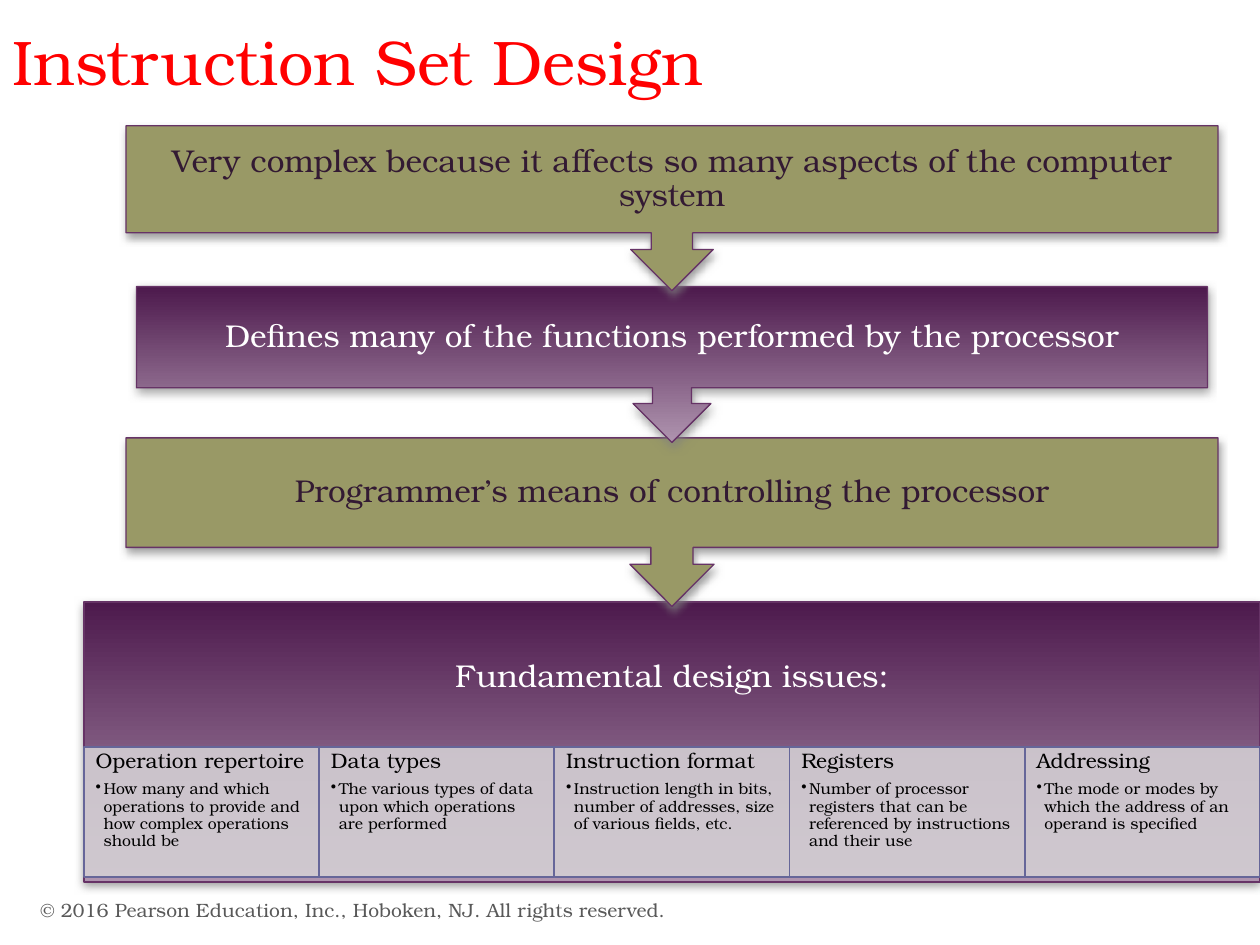
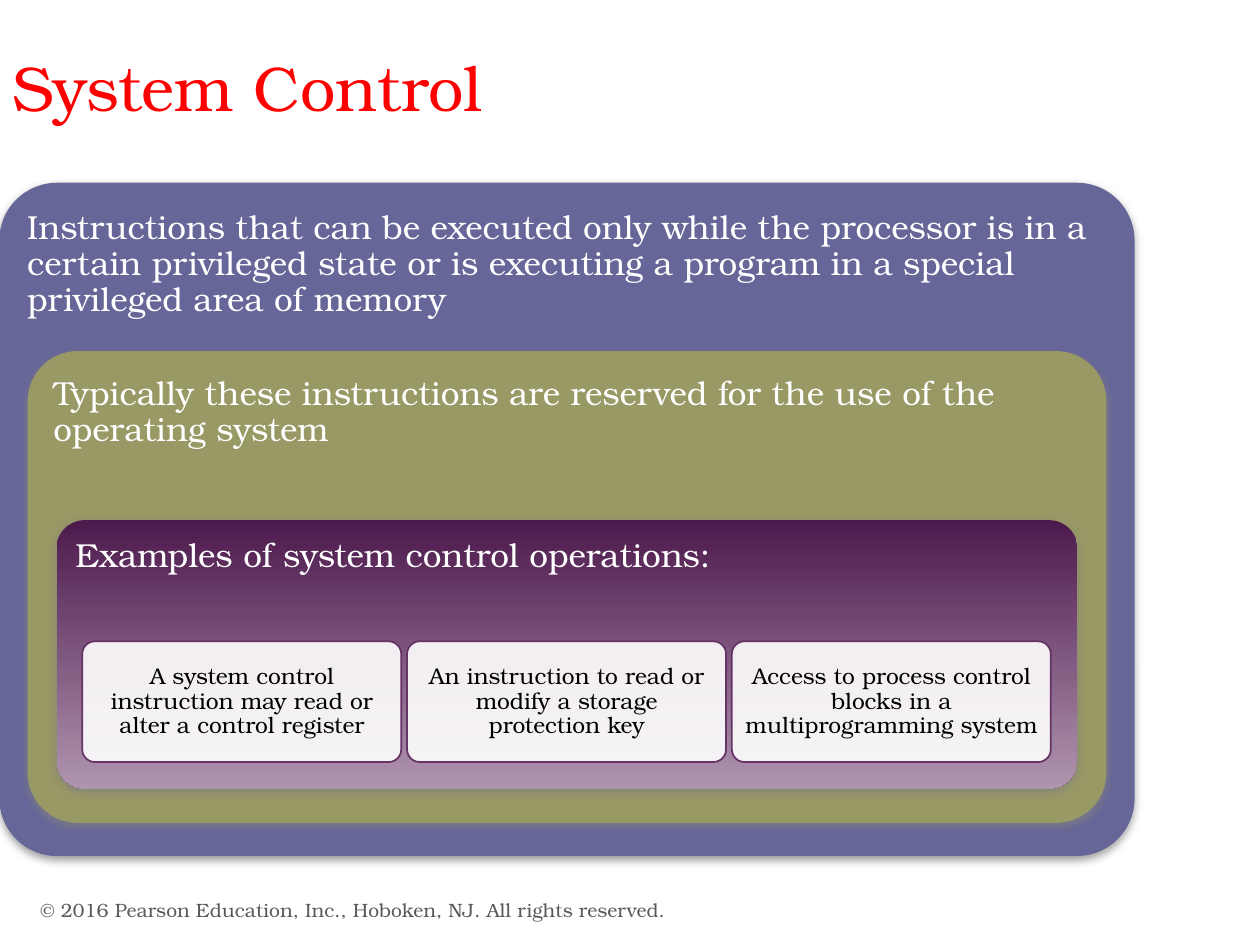
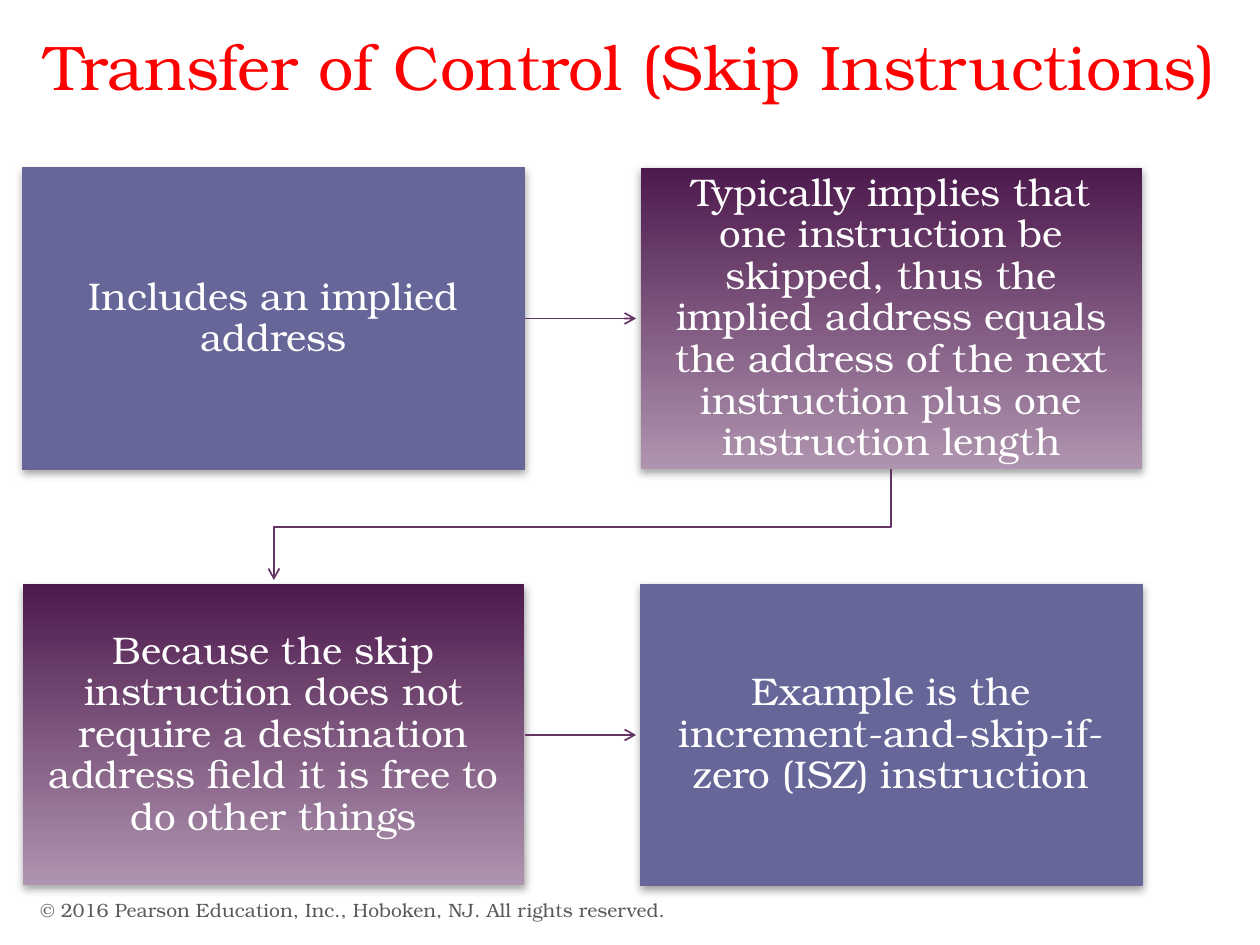
"""Build three slides on instruction set design, system control and skip instructions."""
from lxml import etree
from pptx import Presentation
from pptx.dml.color import RGBColor
from pptx.enum.shapes import MSO_CONNECTOR, MSO_SHAPE
from pptx.enum.text import MSO_ANCHOR, PP_ALIGN
from pptx.oxml.ns import qn
from pptx.util import Pt

RECT = MSO_SHAPE.RECTANGLE
ROUND = MSO_SHAPE.ROUNDED_RECTANGLE
CALLOUT = MSO_SHAPE.DOWN_ARROW_CALLOUT
STRAIGHT = MSO_CONNECTOR.STRAIGHT
LEFT, CENTER = PP_ALIGN.LEFT, PP_ALIGN.CENTER
TOP, MIDDLE = MSO_ANCHOR.TOP, MSO_ANCHOR.MIDDLE

FONT = "TeX Gyre Bonum"
RED = RGBColor(0xFF, 0x00, 0x00)
GRAY = RGBColor(0x59, 0x59, 0x59)
WHITE = RGBColor(0xFF, 0xFF, 0xFF)
BLACK = RGBColor(0x00, 0x00, 0x00)
BLUE = RGBColor(0x66, 0x66, 0x99)
OLIVE = RGBColor(0x99, 0x99, 0x66)
PURPLE = RGBColor(0x66, 0x33, 0x66)
PLUM = RGBColor(0x33, 0x1A, 0x33)
PALE = RGBColor(0xD3, 0xCE, 0xD3)
SHADOW = RGBColor(0x80, 0x80, 0x80)
GRADIENT = (RGBColor(0x4D, 0x1A, 0x4D), RGBColor(0xAF, 0x94, 0xAF))


def write(sp, text, size, color, align=LEFT, anchor=TOP, margins=(7.2, 3.6),
          bottom=None, spacing=0.9, after=0, bullet=False):
    """Add one formatted paragraph to a shape."""
    tf = sp.text_frame
    tf.word_wrap = True
    tf.vertical_anchor = anchor
    tf.margin_left = tf.margin_right = Pt(margins[0])
    tf.margin_top = Pt(margins[1])
    tf.margin_bottom = Pt(margins[1] if bottom is None else bottom)
    p = tf.add_paragraph() if tf.text else tf.paragraphs[0]
    p.alignment = align
    p.line_spacing = spacing
    p.space_after = Pt(after)
    if bullet:
        pPr = p._p.get_or_add_pPr()
        pPr.set("marL", str(Pt(4.5)))
        pPr.set("indent", str(-Pt(4.5)))
        etree.SubElement(pPr, qn("a:buChar"), char="•")
    r = p.add_run()
    r.text = text
    r.font.name = FONT
    r.font.size = Pt(size)
    r.font.color.rgb = color


def box(s, kind, x, y, w, h, fill, line=None, width=0.75, radius=None,
        shadow=True, alpha=None):
    """Add a filled shape, with a gradient when fill is a pair of colours."""
    sp = s.shapes.add_shape(kind, Pt(x), Pt(y), Pt(w), Pt(h))
    if radius:
        sp.adjustments[0] = radius
    if fill is GRADIENT:
        sp.fill.gradient()
        sp.fill.gradient_angle = 270
        for stop, color in zip(sp.fill.gradient_stops, GRADIENT):
            stop.color.rgb = color
    else:
        sp.fill.solid()
        sp.fill.fore_color.rgb = fill
    if alpha:
        color = sp._element.spPr.find(qn("a:solidFill"))[0]
        etree.SubElement(color, qn("a:alpha"), val=str(alpha * 1000))
    if line is None:
        sp.line.fill.background()
    else:
        sp.line.color.rgb = line
        sp.line.width = Pt(width)
    sp.shadow.inherit = False
    if shadow:
        effects = sp._element.spPr.find(qn("a:effectLst"))
        outer = etree.SubElement(effects, qn("a:outerShdw"), blurRad=str(Pt(5)),
                                 dist=str(Pt(2)), dir="5400000", rotWithShape="0")
        color = etree.SubElement(outer, qn("a:srgbClr"), val=str(SHADOW))
        etree.SubElement(color, qn("a:alpha"), val="75000")
    return sp


prs = Presentation()
prs.slide_width, prs.slide_height = Pt(720), Pt(540)

titles = [
    ("Instruction Set Design", 9.5, 595, LEFT),
    ("System Control", 24, 595, LEFT),
    ("Transfer of Control (Skip Instructions)", 12, 720, CENTER),
]
slides = []
for title, y, w, align in titles:
    s = prs.slides.add_slide(prs.slide_layouts[6])
    sp = s.shapes.add_textbox(Pt(16), Pt(505.5), Pt(482), Pt(29))
    write(sp, "© 2016 Pearson Education, Inc., Hoboken, NJ. All rights reserved.",
          11, GRAY, anchor=MIDDLE, spacing=1)
    sp = s.shapes.add_textbox(0, Pt(y), Pt(w), Pt(80))
    write(sp, title, 36, RED, align=align, spacing=1)
    slides.append(s)
design, control, skip = slides

sp = box(design, RECT, 48, 344, 672, 160, GRADIENT, PURPLE)
write(sp, "Fundamental design issues:", 18, WHITE, align=CENTER, anchor=MIDDLE,
      margins=(10, 10), bottom=84)
issues = [
    ("Operation repertoire",
     "How many and which operations to provide and how complex operations should be"),
    ("Data types", "The various types of data upon which operations are performed"),
    ("Instruction format",
     "Instruction length in bits, number of addresses, size of various fields, etc."),
    ("Registers",
     "Number of processor registers that can be referenced by instructions and their use"),
    ("Addressing", "The mode or modes by which the address of an operand is specified"),
]
issue_w = 672 / len(issues)
for i, (heading, detail) in enumerate(issues):
    sp = box(design, RECT, 48 + i * issue_w, 427, issue_w, 74, PALE, BLUE, 1,
             shadow=False, alpha=90)
    write(sp, heading, 12, BLACK, margins=(6.7, 1.5), after=5)
    write(sp, detail, 9, BLACK, margins=(6.7, 1.5), bullet=True)

callouts = [
    ("Programmer’s means of controlling the processor", 72, 250.2, 96.3, OLIVE, PLUM),
    ("Defines many of the functions performed by the processor",
     78, 163.8, 89, GRADIENT, WHITE),
    ("Very complex because it affects so many aspects of the computer system",
     72, 71.8, 94.3, OLIVE, PLUM),
]
for text, x, y, h, fill, color in callouts:
    sp = box(design, CALLOUT, x, y, 768 - 2 * x, h, fill, PURPLE)
    write(sp, text, 18, color, align=CENTER, anchor=MIDDLE, margins=(10, 10))

layers = [
    ("Instructions that can be executed only while the processor is in a certain "
     "privileged state or is executing a program in a special privileged area of memory",
     0, 104.8, 648, 384, BLUE, BLUE, 0.085),
    ("Typically these instructions are reserved for the use of the operating system",
     16.2, 201, 615.6, 268.8, OLIVE, OLIVE, 0.105),
    ("Examples of system control operations:",
     32.4, 297.2, 583.2, 153.5, GRADIENT, None, 0.105),
]
for text, x, y, w, h, fill, line, radius in layers:
    sp = box(control, ROUND, x, y, w, h, fill, line, radius=radius)
    write(sp, text, 19, WHITE, margins=(6, 6))

examples = [
    "A system control instruction may read or alter a control register",
    "An instruction to read or modify a storage protection key",
    "Access to process control blocks in a multiprogramming system",
]
for i, text in enumerate(examples):
    sp = box(control, ROUND, 47 + i * 185.6, 366.5, 182.3, 69, WHITE, PURPLE, 1,
             radius=0.105, shadow=False, alpha=90)
    write(sp, text, 13, BLACK, align=CENTER, anchor=MIDDLE, margins=(3.6, 3.6))

steps = [
    ("Includes an implied address", BLUE, BLUE),
    ("Typically implies that one instruction be skipped, thus the implied address "
     "equals the address of the next instruction plus one instruction length",
     GRADIENT, None),
    ("Because the skip instruction does not require a destination address field "
     "it is free to do other things", GRADIENT, None),
    ("Example is the increment-and-skip-if-zero (ISZ) instruction", BLUE, BLUE),
]
for i, (text, fill, line) in enumerate(steps):
    row, col = divmod(i, 2)
    sp = box(skip, RECT, 13 + col * 353, 96 + row * 238, 286.6, 172, fill, line)
    write(sp, text, 22, WHITE, align=CENTER, anchor=MIDDLE, margins=(12, 12))

arrows = [skip.shapes.add_connector(STRAIGHT, Pt(300), Pt(y), Pt(363.5), Pt(y))
          for y in (182, 420)]
path_down = skip.shapes.build_freeform(Pt(509), Pt(268))
path_down.add_line_segments([(Pt(509), Pt(301)), (Pt(156.5), Pt(301)),
                             (Pt(156.5), Pt(331.5))], close=False)
elbow = path_down.convert_to_shape()
elbow.fill.background()
for arrow in arrows + [elbow]:
    arrow.line.color.rgb = PURPLE
    arrow.line.width = Pt(1)
    etree.SubElement(arrow.line._get_or_add_ln(), qn("a:tailEnd"), type="arrow")
    etree.SubElement(arrow._element.spPr, qn("a:effectLst"))

prs.save("out.pptx")
